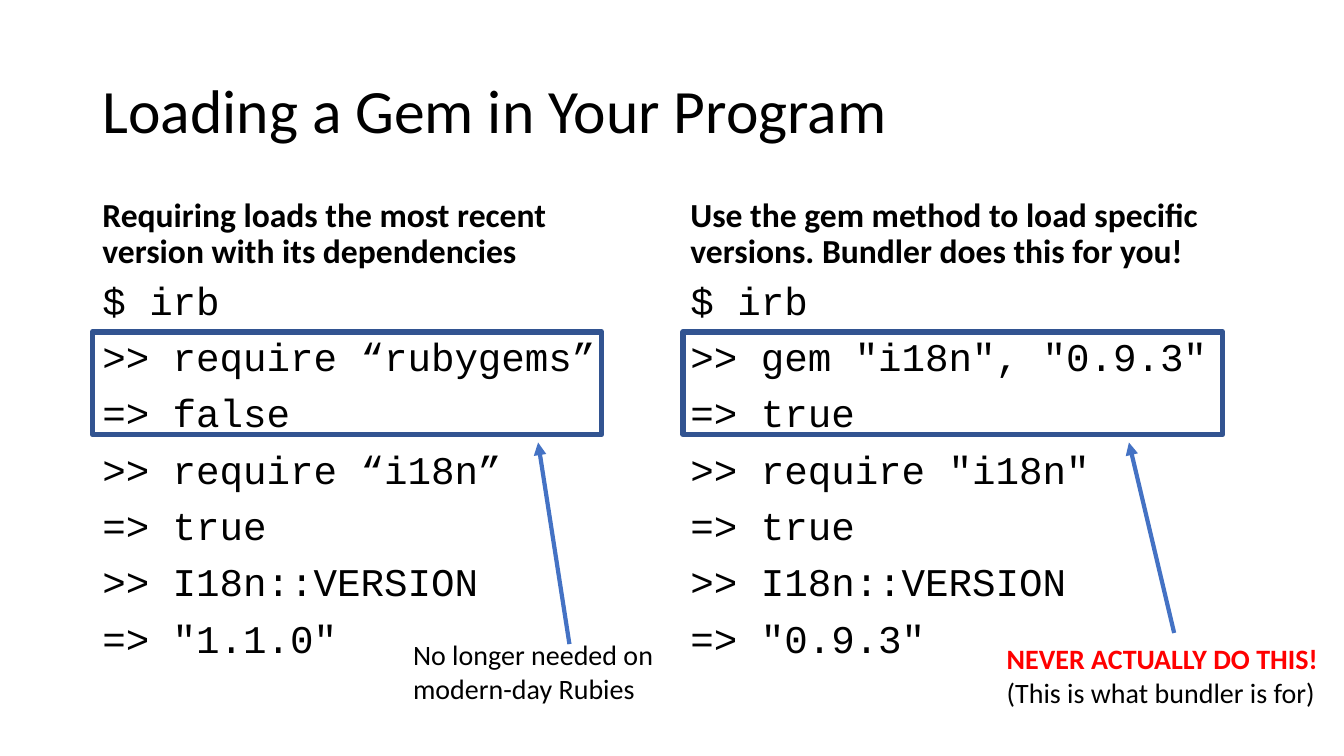
from lxml import etree
from pptx import Presentation
from pptx.dml.color import RGBColor
from pptx.enum.shapes import MSO_CONNECTOR, MSO_SHAPE
from pptx.enum.text import MSO_ANCHOR, MSO_AUTO_SIZE, PP_ALIGN
from pptx.oxml.ns import qn
from pptx.util import Cm, Pt

BLACK = RGBColor(0x00, 0x00, 0x00)
WHITE = RGBColor(0xFF, 0xFF, 0xFF)
RED = RGBColor(0xFF, 0x00, 0x00)
BLUE = RGBColor(0x44, 0x72, 0xC4)
DARK_BLUE = RGBColor(0x32, 0x54, 0x91)
TOP, MIDDLE, BOTTOM = MSO_ANCHOR.TOP, MSO_ANCHOR.MIDDLE, MSO_ANCHOR.BOTTOM
NO_FIT, GROW = MSO_AUTO_SIZE.NONE, MSO_AUTO_SIZE.SHAPE_TO_FIT_TEXT
LEFT = PP_ALIGN.LEFT
STRAIGHT = MSO_CONNECTOR.STRAIGHT
RECTANGLE = MSO_SHAPE.RECTANGLE

TITLE_ONLY = 5
HEADING_TOP, HEADING_HEIGHT = 4.67, 2.29
CODE_TOP, CODE_HEIGHT = 6.96, 10.24
FRAME_TOP, FRAME_HEIGHT = 8.36, 2.59
ARROW_TIP_TOP = 11.15
NOTE_HEIGHT = 1.96

COLUMNS = [
    {
        "left": 2.33,
        "width": 14.33,
        "heading": "Requiring loads the most recent version with its dependencies",
        "code": ["$ irb", ">> require “rubygems”", "=> false", ">> require “i18n”",
                 "=> true", ">> I18n::VERSION", '=> "1.1.0"'],
        "frame": (2.33, 12.83),
        "arrow": ((14.35, 16.23), (13.56, ARROW_TIP_TOP)),
        "note_box": (10.16, 15.95, 6.78, NOTE_HEIGHT),
        "note": [("No longer needed on", {}), ("modern-day Rubies", {})],
    },
    {
        "left": 17.15,
        "width": 14.4,
        "heading": "Use the gem method to load specific versions. Bundler does this for you!",
        "code": ["$ irb", '>> gem "i18n", "0.9.3"', "=> true", '>> require "i18n"',
                 "=> true", ">> I18n::VERSION", '=> "0.9.3"'],
        "frame": (17.22, 13.59),
        "arrow": ((29.59, 15.95), (28.45, ARROW_TIP_TOP)),
        "note_box": (25.12, 16.05, 8.41, NOTE_HEIGHT),
        "note": [("NEVER ACTUALLY DO THIS!", {"color": RED, "bold": True}),
                 ("(This is what bundler is for)", {})],
    },
]


def write(paragraph, text, size=20, font="Calibri", color=BLACK, bold=False,
          line_spacing=1.0, space_before=0):
    paragraph.alignment = LEFT
    paragraph.line_spacing = line_spacing
    paragraph.space_before = Pt(space_before)
    run = paragraph.add_run()
    run.text = text
    run.font.size = Pt(size)
    run.font.name = font
    run.font.bold = bold
    run.font.color.rgb = color


class SlideBuilder:
    """Holds the presentation style and the current slide."""

    def __init__(self, presentation):
        self.slide = presentation.slides.add_slide(presentation.slide_layouts[TITLE_ONLY])
        self.slide.background.fill.solid()
        self.slide.background.fill.fore_color.rgb = WHITE
        self.body_format = {"line_spacing": 0.9, "space_before": 10}

    def title(self, text, left, top, width, height):
        shape = self.slide.shapes.title
        shape.left, shape.top = Cm(left), Cm(top)
        shape.width, shape.height = Cm(width), Cm(height)
        frame = shape.text_frame
        frame.word_wrap = True
        frame.auto_size = NO_FIT
        frame.vertical_anchor = MIDDLE
        write(frame.paragraphs[0], text, size=44, line_spacing=0.9)

    def text_box(self, lines, left, top, width, height, anchor=TOP, wrap=True, fit=NO_FIT):
        box = self.slide.shapes.add_textbox(Cm(left), Cm(top), Cm(width), Cm(height))
        frame = box.text_frame
        frame.word_wrap = wrap
        frame.auto_size = fit
        frame.vertical_anchor = anchor
        for index, (text, text_format) in enumerate(lines):
            paragraph = frame.add_paragraph() if index else frame.paragraphs[0]
            write(paragraph, text, **text_format)

    def heading(self, text, left, width):
        text_format = {"size": 24, "bold": True, **self.body_format}
        self.text_box([(text, text_format)], left, HEADING_TOP, width, HEADING_HEIGHT,
                      anchor=BOTTOM)

    def code(self, lines, left, width):
        text_format = {"size": 28, "font": "Courier New", **self.body_format}
        self.text_box([(line, text_format) for line in lines],
                      left, CODE_TOP, width, CODE_HEIGHT)

    def note(self, lines, box):
        self.text_box(lines, *box, wrap=False, fit=GROW)

    def frame(self, left, width):
        shape = self.slide.shapes.add_shape(
            RECTANGLE, Cm(left), Cm(FRAME_TOP), Cm(width), Cm(FRAME_HEIGHT))
        shape.shadow.inherit = False
        shape.fill.background()
        shape.line.color.rgb = DARK_BLUE
        shape.line.width = Pt(4)

    def arrow(self, start, end):
        connector = self.slide.shapes.add_connector(STRAIGHT, *map(Cm, start + end))
        connector.line.color.rgb = BLUE
        connector.line.width = Pt(3)
        line = connector.line._get_or_add_ln()
        etree.SubElement(line, qn("a:tailEnd"), type="triangle")
        etree.SubElement(connector._element.spPr, qn("a:effectLst"))


def main():
    presentation = Presentation()
    presentation.slide_width, presentation.slide_height = Cm(33.87), Cm(19.05)
    builder = SlideBuilder(presentation)
    builder.title("Loading a Gem in Your Program", 2.33, 1.01, 29.21, 3.68)
    for column in COLUMNS:
        builder.heading(column["heading"], column["left"], column["width"])
        builder.code(column["code"], column["left"], column["width"])
        builder.frame(*column["frame"])
        builder.arrow(*column["arrow"])
        builder.note(column["note"], column["note_box"])
    presentation.save("out.pptx")


if __name__ == "__main__":
    main()
